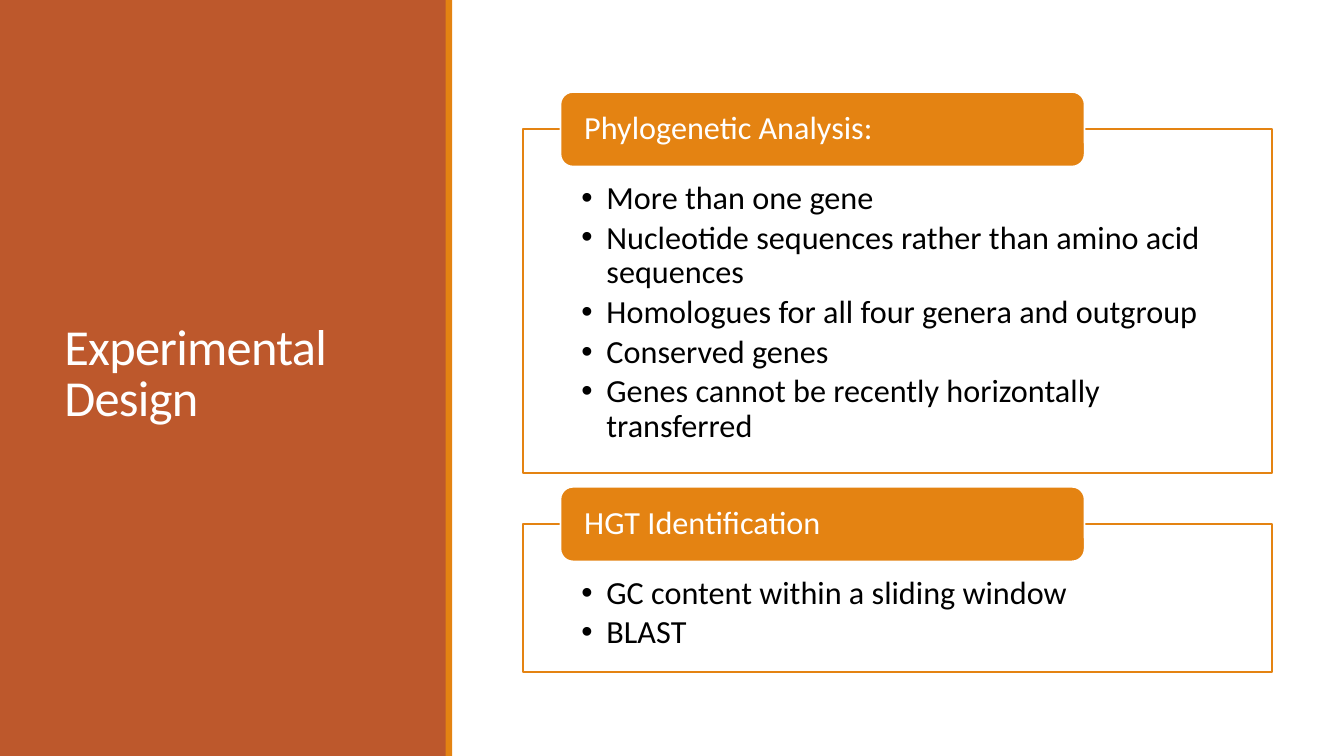
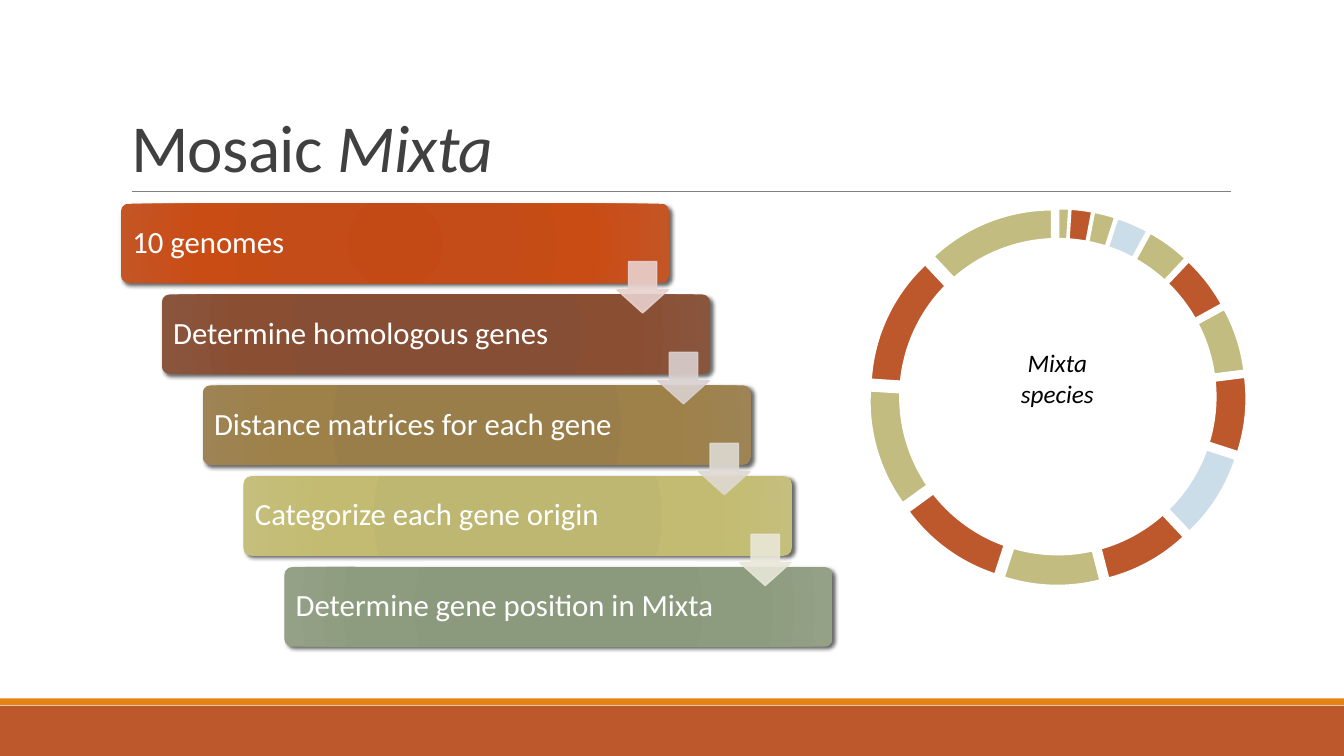
from lxml import etree
from pptx import Presentation
from pptx.chart.data import CategoryChartData
from pptx.dml.color import RGBColor
from pptx.enum.chart import XL_CHART_TYPE
from pptx.enum.shapes import MSO_CONNECTOR, MSO_SHAPE
from pptx.enum.text import MSO_ANCHOR, PP_ALIGN
from pptx.oxml.ns import qn
from pptx.util import Inches, Pt

RECT, ROUND = MSO_SHAPE.RECTANGLE, MSO_SHAPE.ROUNDED_RECTANGLE
ARROW, CIRCLE = MSO_SHAPE.DOWN_ARROW, MSO_SHAPE.FLOWCHART_CONNECTOR
STRAIGHT, PIE = MSO_CONNECTOR.STRAIGHT, XL_CHART_TYPE.PIE
TOP, MIDDLE, BOTTOM = MSO_ANCHOR.TOP, MSO_ANCHOR.MIDDLE, MSO_ANCHOR.BOTTOM
LEFT, CENTER = PP_ALIGN.LEFT, PP_ALIGN.CENTER

WIDTH, HEIGHT = Inches(13.33), Inches(7.5)
COLUMN, ROW = WIDTH / 100, HEIGHT / 100
FONT = "Calibri"
COLOURS = {
    "rust": "BD582C", "orange": "E48312", "white": "FFFFFF", "black": "000000",
    "charcoal": "404040", "grey": "808080", "olive": "C2BC80", "sky": "CCDDEA",
}


def text_style(size, colour, anchor, align=LEFT, line=1.0, margins=(0.1, 0.05),
               bottom=None, after=0, tracking=0, bullet=False):
    """Gather the format values of one kind of text."""
    side, top = margins
    return {
        "font": {"name": FONT, "size": Pt(size)},
        "paragraph": {"alignment": align, "line_spacing": line, "space_after": Pt(after)},
        "frame": {
            "word_wrap": True, "vertical_anchor": anchor,
            "margin_left": Inches(side), "margin_right": Inches(side),
            "margin_top": Inches(top),
            "margin_bottom": Inches(top if bottom is None else bottom),
        },
        "colour": colour, "tracking": tracking, "bullet": bullet,
    }


STYLES = {
    "side title": text_style(36, "white", MIDDLE, line=0.85, tracking=-50),
    "top title": text_style(48, "charcoal", BOTTOM, line=0.85, tracking=-50),
    "tab": text_style(23, "white", MIDDLE, line=0.9, margins=(0.2, 0)),
    "list": text_style(23, "black", TOP, line=0.9, margins=(0.58, 0.52),
                       bottom=0.18, after=3.5, bullet=True),
    "step": text_style(22, "white", MIDDLE, line=0.9, margins=(0.09, 0.09)),
    "label": text_style(18, "black", TOP, CENTER),
}

CARDS = [
    (17.1, 45.47, "Phylogenetic Analysis:", [
        "More than one gene",
        "Nucleotide sequences rather than amino acid sequences",
        "Homologues for all four genera and outgroup",
        "Conserved genes",
        "Genes cannot be recently horizontally transferred",
    ]),
    (69.33, 19.6, "HGT Identification", ["GC content within a sliding window", "BLAST"]),
]
STEPS = [
    ("10 genomes", ("C44A15", "C34C18", "C94C15", "C45525")),
    ("Determine homologous genes", ("874C32", "864E34", "8A4E33", "8A553D")),
    ("Distance matrices for each gene", ("9A7D48", "9A7E4A", "9E8049", "9E8454")),
    ("Categorize each gene origin", ("BEB76E", "BEB771", "C3BB71", "C5BF7D")),
    ("Determine gene position in Mixta", ("8A987B", "8B997D", "8D9C7E", "94A187")),
]
GRADIENT_STOPS = (0, 34, 70, 100)
ARROW_COLOURS = ("E8D1CD", "D9D1CF", "DED9D1", "E9E7D8")
STEP_RIGHT, STEP_DOWN = 3.04, 12.02
RING_SERIES = {
    "Series 1": [1, 2, 2, 3, 4, 5, 6, 7, 8, 8, 9, 10, 11, 12, 12],
    "Series 2": [2, 5, 10, 3, 5, 7, 15, 12, 3, 5, 9, 5, 6, 3, 10],
}
SLICE_COUNT = 15
SKY_SLICES = (3, 8)
RUST_SLICES = (1, 5, 7, 9, 11, 13)


def rgb(colour):
    """Turn a colour name or hex string into a colour value."""
    return RGBColor.from_string(COLOURS.get(colour, colour))


def grid(*lengths):
    """Turn alternating columns and rows into slide lengths."""
    return [round(length * (ROW if index % 2 else COLUMN))
            for index, length in enumerate(lengths)]


def add_xml(parent, tag, **attributes):
    """Append one XML element with its attributes."""
    return etree.SubElement(parent, qn(tag), {key: str(value) for key, value in attributes.items()})


def set_values(target, values):
    """Set each named attribute of an object."""
    for name, value in values.items():
        setattr(target, name, value)


def add_bullet(para):
    """Give a paragraph a hanging round bullet."""
    properties = para._p.get_or_add_pPr()
    properties.set("marL", str(Inches(0.25)))
    properties.set("indent", str(-Inches(0.25)))
    add_xml(properties, "a:buFont", typeface="Arial")
    add_xml(properties, "a:buChar", char="•")


def write_text(box, paragraphs, style_name):
    """Write paragraphs, each a list of (text, italic) spans."""
    style = STYLES[style_name]
    frame = box.text_frame
    set_values(frame, style["frame"])
    for index, spans in enumerate(paragraphs):
        para = frame.add_paragraph() if index else frame.paragraphs[0]
        set_values(para, style["paragraph"])
        if style["bullet"]:
            add_bullet(para)
        for text, italic in spans:
            span = para.add_run()
            span.text = text
            set_values(span.font, {**style["font"], "italic": italic})
            span.font.color.rgb = rgb(style["colour"])
            if style["tracking"]:
                span._r.get_or_add_rPr().set("spc", str(style["tracking"]))


def add_text(page, area, spans, style_name):
    """Add a text box with one paragraph."""
    write_text(page.shapes.add_textbox(*grid(*area)), [spans], style_name)


def paint(target, fill, line=None, line_width=1.25):
    """Give a shape or chart point its fill and outline."""
    target.fill.solid()
    target.fill.fore_color.rgb = rgb(fill)
    if line:
        target.line.color.rgb = rgb(line)
        target.line.width = Pt(line_width)
    else:
        target.line.fill.background()


def add_block(page, kind, area, fill, line=None, line_width=1.25):
    """Add a flat preset shape."""
    block = page.shapes.add_shape(kind, *grid(*area))
    block.shadow.inherit = False
    paint(block, fill, line, line_width)
    return block


def add_card(page, top, height, heading, points):
    """Add a bulleted frame with a heading tab over its upper edge."""
    frame = add_block(page, RECT, (38.9, top, 55.75, height), "white", "orange")
    write_text(frame, [[(point, False)] for point in points], "list")
    tab = add_block(page, ROUND, (41.7, top - 4.93, 39, 9.87), "orange", "white")
    write_text(tab, [[(heading, False)]], "tab")


def add_glow(block, colours):
    """Replace a solid fill by a radial gradient and add a soft shadow."""
    properties = block._element.spPr
    solid = properties.find(qn("a:solidFill"))
    gradient = etree.Element(qn("a:gradFill"), rotWithShape="1")
    stops = add_xml(gradient, "a:gsLst")
    for position, colour in zip(GRADIENT_STOPS, colours):
        stop = add_xml(stops, "a:gs", pos=position * 1000)
        add_xml(stop, "a:srgbClr", val=colour)
    circle = add_xml(gradient, "a:path", path="circle")
    add_xml(circle, "a:fillToRect", l=100000, t=100000, r=100000, b=100000)
    properties.replace(solid, gradient)
    shadow = add_xml(properties.find(qn("a:effectLst")), "a:outerShdw", blurRad=Pt(3),
                     dist=Pt(2), dir=45 * 60000, algn="ctr", rotWithShape=0)
    shade = add_xml(shadow, "a:srgbClr", val=COLOURS["black"])
    add_xml(shade, "a:alpha", val=60000)


def add_step(page, index, label, colours):
    """Add one bar of the staircase."""
    area = (9 + index * STEP_RIGHT, 26.93 + index * STEP_DOWN, 40.8, 10.53)
    step = add_block(page, ROUND, area, colours[0])
    step.adjustments[0] = 0.1
    add_glow(step, colours)
    write_text(step, [[(label, False)]], "step")


def add_step_arrow(page, index, colour):
    """Add the translucent arrow that leads to the next bar."""
    area = (45.9 + index * STEP_RIGHT, 34.6 + index * STEP_DOWN, 3.83, 6.8)
    arrow = add_block(page, ARROW, area, colour, colour, 1)
    arrow.adjustments[0], arrow.adjustments[1] = 0.55, 0.45
    for shade in list(arrow._element.spPr.iter(qn("a:srgbClr"))):
        add_xml(shade, "a:alpha", val=90000)


def add_rule(page, left, right, row):
    """Add a thin horizontal line."""
    rule = page.shapes.add_connector(STRAIGHT, *grid(left, row, right, row))
    rule.line.color.rgb = rgb("grey")
    rule.line.width = Pt(0.5)
    add_xml(rule._element.spPr, "a:effectLst")


def slice_colour(index):
    """Pick the colour of one slice of the ring."""
    if index in SKY_SLICES:
        return "sky"
    return "rust" if index in RUST_SLICES else "olive"


def add_ring(page):
    """Add an exploded pie with a white centre and a label."""
    data = CategoryChartData()
    data.categories = [str(number + 1) for number in range(SLICE_COUNT)]
    for name, values in RING_SERIES.items():
        data.add_series(name, values)
    chart = page.shapes.add_chart(PIE, *grid(62.47, 25.73, 32.47, 53.6), data).chart
    chart.replace_data(data)
    set_values(chart, {"has_title": False, "has_legend": False})
    set_values(chart.font, {"name": FONT, "size": Pt(10)})
    chart.font.color.rgb = rgb("black")
    plot = chart.plots[0]
    plot.vary_by_categories = True
    series = plot.series[0]
    for index in range(SLICE_COUNT):
        paint(series.points[index].format, slice_colour(index), "white", 1.5)
    series._element.find(qn("c:tx")).addnext(etree.Element(qn("c:explosion"), val="9"))
    add_block(page, CIRCLE, (66.9, 31.47, 23.62, 42), "white")
    add_text(page, (74.25, 45.33, 8.85, 9.47), [("Mixta species", True)], "label")


def add_bands(page, panel, stripe):
    """Add the rust panel and its orange edge."""
    add_block(page, RECT, panel, "rust")
    add_block(page, RECT, stripe, "orange")


def build_design_page(page):
    """Build the slide on experimental design."""
    add_bands(page, (0, 0, 33.25, 100), (33.15, 0, 0.5, 100))
    add_text(page, (4.05, 7.6, 25.3, 84.13), [("Experimental Design", False)], "side title")
    for card in CARDS:
        add_card(page, *card)


def build_mosaic_page(page):
    """Build the slide on the mosaic genome."""
    add_bands(page, (0, 93.33, 100, 6.67), (0, 92.4, 100, 0.85))
    add_rule(page, 9.82, 91.57, 25.33)
    add_text(page, (9.03, 4.13, 82.5, 21.2), [("Mosaic ", False), ("Mixta", True)], "top title")
    for index, (label, colours) in enumerate(STEPS):
        add_step(page, index, label, colours)
    for index, colour in enumerate(ARROW_COLOURS):
        add_step_arrow(page, index, colour)
    add_ring(page)


def main():
    """Build and save the deck."""
    deck = Presentation()
    set_values(deck, {"slide_width": WIDTH, "slide_height": HEIGHT})
    for build in (build_design_page, build_mosaic_page):
        build(deck.slides.add_slide(deck.slide_layouts[6]))
    deck.save("out.pptx")


if __name__ == "__main__":
    main()
